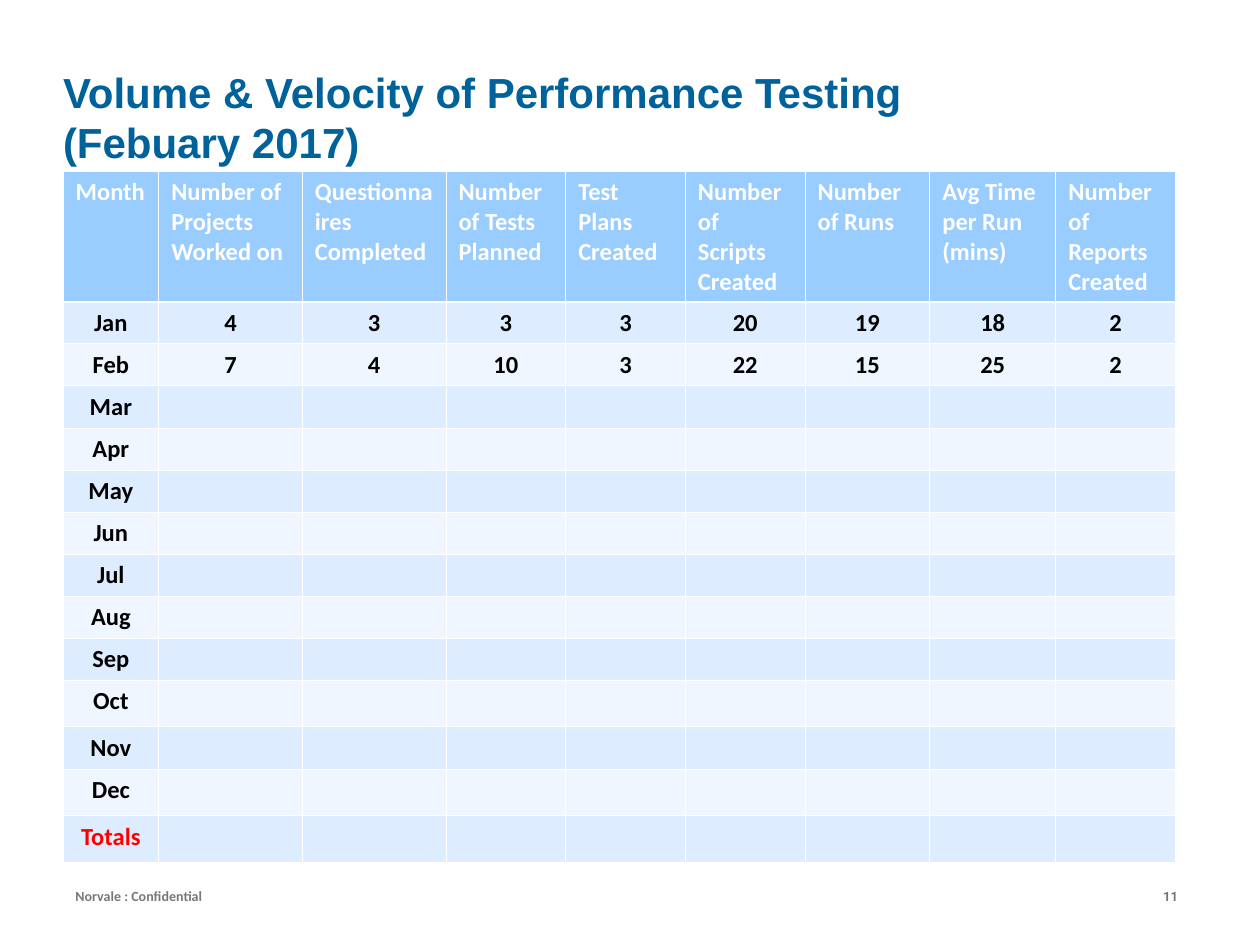
"""Build the monthly performance testing volume slide."""
from lxml import etree
from pptx import Presentation
from pptx import util as u
from pptx.dml.color import RGBColor
from pptx.enum import text
from pptx.oxml import ns

TITLE = "Volume & Velocity of Performance Testing \v(Febuary 2017)"
HEADERS = [
    "Month", "Number of Projects Worked on", "Questionnaires Completed",
    "Number of Tests Planned", "Test Plans Created", "Number of Scripts Created",
    "Number of Runs", "Avg Time per Run (mins)", "Number of Reports Created",
]
MONTHS = ["Jan", "Feb", "Mar", "Apr", "May", "Jun",
          "Jul", "Aug", "Sep", "Oct", "Nov", "Dec"]
RESULTS = {
    "Jan": [4, 3, 3, 3, 20, 19, 18, 2],
    "Feb": [7, 4, 10, 3, 22, 15, 25, 2],
}
FOOTER = "Norvale : Confidential"
PAGE_NUMBER = "11"

COLUMN_WIDTHS = [0.76, 1.14, 1.14, 0.95, 0.95, 0.95, 0.99, 1, 0.95]
HEADER_HEIGHT, ROW_HEIGHT, TALL_ROW_HEIGHT = 1.03, 0.33, 0.37
TALL_ROWS = ("Oct", "Dec", "Totals")
CELL_SIZE = 14
THIN, THICK = 0.45, 1.47

TITLE_BLUE = RGBColor(0x00, 0x62, 0x9B)
HEADER_BLUE = RGBColor(0x99, 0xCC, 0xFF)
BAND_DARK = RGBColor(0xDE, 0xEC, 0xFF)
BAND_LIGHT = RGBColor(0xEF, 0xF6, 0xFF)
WHITE = RGBColor(0xFF, 0xFF, 0xFF)
BLACK = RGBColor(0x00, 0x00, 0x00)
RED = RGBColor(0xFF, 0x00, 0x00)
GREY = RGBColor(0x75, 0x78, 0x7B)


def format_runs(paragraph, font_name, size, color):
    for run in paragraph.runs:
        run.font.name = font_name
        run.font.size = u.Pt(size)
        run.font.bold = True
        run.font.color.rgb = color


def add_title(slide):
    title = slide.shapes.title
    title.left, title.top = u.Inches(0.5), u.Inches(0.5)
    title.width, title.height = u.Inches(9), u.Inches(0.42)
    frame = title.text_frame
    frame.text = TITLE
    frame.auto_size = text.MSO_AUTO_SIZE.NONE
    frame.vertical_anchor = text.MSO_ANCHOR.TOP
    frame.margin_left = frame.margin_right = frame.margin_bottom = 0
    frame.margin_top = u.Inches(0.03)
    paragraph = frame.paragraphs[0]
    paragraph.alignment = text.PP_ALIGN.LEFT
    paragraph.line_spacing = u.Pt(28.5)
    format_runs(paragraph, "Arial", 24, TITLE_BLUE)


def add_footer_text(slide, content, left, width, font_name, size, alignment, top_inset):
    box = slide.shapes.add_textbox(
        u.Inches(left), u.Inches(7), u.Inches(width), u.Inches(0.25))
    frame = box.text_frame
    frame.text = content
    frame.word_wrap = True
    frame.vertical_anchor = text.MSO_ANCHOR.MIDDLE
    frame.margin_top = u.Inches(top_inset)
    paragraph = frame.paragraphs[0]
    paragraph.alignment = alignment
    paragraph.line_spacing = 0.9
    format_runs(paragraph, font_name, size, GREY)


def set_borders(cell, top, bottom):
    properties = cell._tc.get_or_add_tcPr()
    for side, width in (("L", THIN), ("R", THIN), ("T", top), ("B", bottom)):
        line = etree.SubElement(properties, ns.qn(f"a:ln{side}"), w=str(u.Pt(width)))
        fill = etree.SubElement(line, ns.qn("a:solidFill"))
        etree.SubElement(fill, ns.qn("a:srgbClr"), val=str(WHITE))


def fill_cell(cell, content, row_index):
    is_header = row_index == 0
    set_borders(cell, THICK if row_index == 1 else THIN, THICK if is_header else THIN)
    cell.fill.solid()
    if is_header:
        cell.fill.fore_color.rgb = HEADER_BLUE
    else:
        cell.fill.fore_color.rgb = BAND_DARK if row_index % 2 else BAND_LIGHT
    paragraph = cell.text_frame.paragraphs[0]
    paragraph.text = str(content)
    paragraph.alignment = text.PP_ALIGN.LEFT if is_header else text.PP_ALIGN.CENTER
    color = WHITE if is_header else RED if content == "Totals" else BLACK
    format_runs(paragraph, "Calibri", CELL_SIZE, color)
    if content == "":
        etree.SubElement(paragraph._p, ns.qn("a:endParaRPr"), sz=str(CELL_SIZE * 100))


def add_results_table(slide):
    blanks = [""] * (len(HEADERS) - 1)
    rows = [HEADERS] + [[label] + RESULTS.get(label, blanks)
                        for label in MONTHS + ["Totals"]]
    heights = [HEADER_HEIGHT] + [
        TALL_ROW_HEIGHT if row[0] in TALL_ROWS else ROW_HEIGHT for row in rows[1:]]
    table = slide.shapes.add_table(
        len(rows), len(HEADERS), u.Inches(0.5), u.Inches(1.36),
        u.Inches(sum(COLUMN_WIDTHS)), u.Inches(sum(heights))).table
    for column, width in zip(table.columns, COLUMN_WIDTHS):
        column.width = u.Inches(width)
    for row_index, (row, height) in enumerate(zip(rows, heights)):
        table.rows[row_index].height = u.Inches(height)
        for column_index, content in enumerate(row):
            fill_cell(table.cell(row_index, column_index), content, row_index)


def main():
    presentation = Presentation()
    presentation.slide_width, presentation.slide_height = u.Inches(10), u.Inches(7.5)
    slide = presentation.slides.add_slide(presentation.slide_layouts[5])
    add_title(slide)
    add_footer_text(slide, PAGE_NUMBER, 9.08, 0.42, "Roboto", 7.4,
                    text.PP_ALIGN.CENTER, 0.05)
    add_footer_text(slide, FOOTER, 0.5, 3, "Calibri", 8, text.PP_ALIGN.LEFT, 0.03)
    add_results_table(slide)
    presentation.save("out.pptx")


if __name__ == "__main__":
    main()
